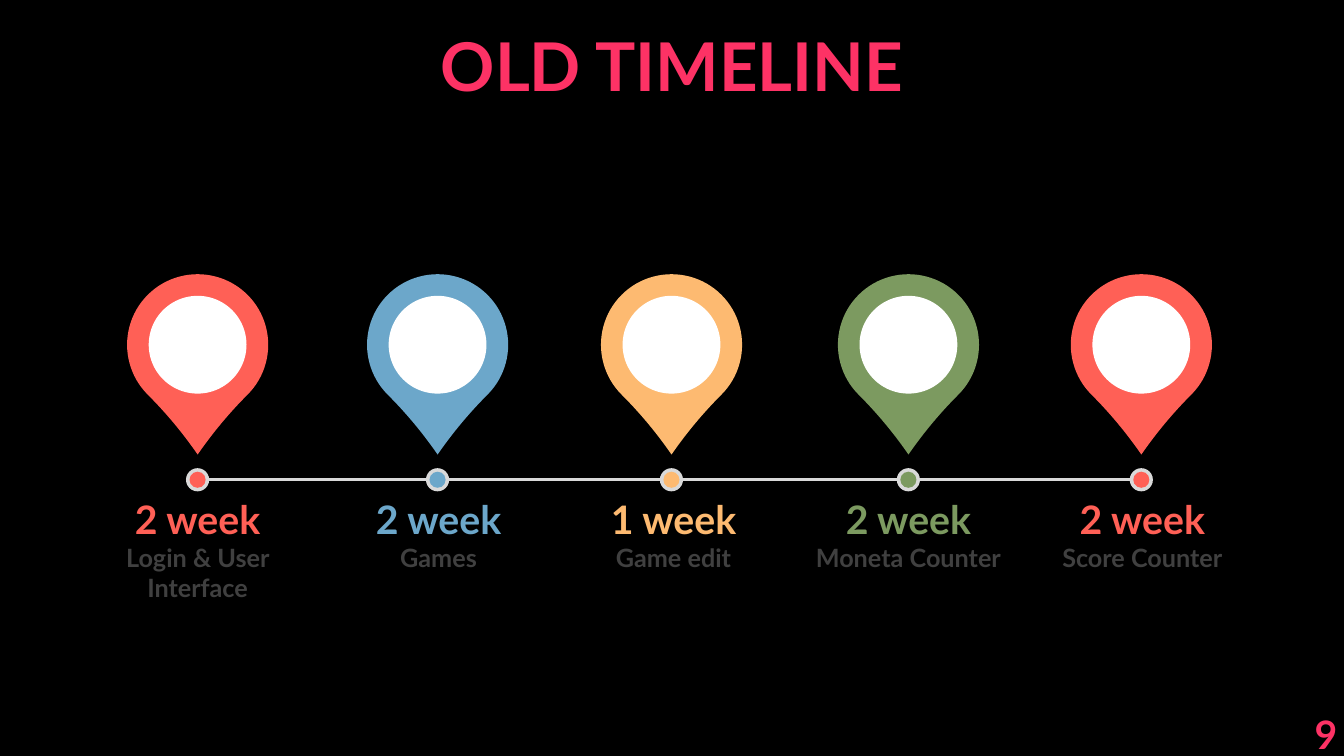
from itertools import pairwise
from lxml.etree import SubElement
from pptx import Presentation
from pptx.dml.color import RGBColor
from pptx.enum.shapes import MSO_CONNECTOR, MSO_SHAPE
from pptx.enum.text import MSO_ANCHOR, MSO_AUTO_SIZE, PP_ALIGN
from pptx.oxml.ns import qn
from pptx.util import Inches, Pt

BLACK = RGBColor(0x00, 0x00, 0x00)
WHITE = RGBColor(0xFF, 0xFF, 0xFF)
PINK = RGBColor(0xFD, 0x32, 0x65)
SILVER = RGBColor(0xD9, 0xD9, 0xD9)
GREY = RGBColor(0x40, 0x40, 0x40)
RED = RGBColor(0xFF, 0x60, 0x56)
BLUE = RGBColor(0x6C, 0xA7, 0xCA)
AMBER = RGBColor(0xFD, 0xBA, 0x71)
GREEN = RGBColor(0x7C, 0x9A, 0x60)

FRAME = {"word_wrap": True, "vertical_anchor": MSO_ANCHOR.TOP}
FONT = {"name": "Lato", "bold": True}

STEPS = [
    (1.96, 1.96, "2 week", "Login & User Interface", RED),
    (4.34, 4.35, "2 week", "Games", BLUE),
    (6.66, 6.68, "1 week", "Game edit", AMBER),
    (9.01, 9.01, "2 week", "Moneta Counter", GREEN),
    (11.32, 11.33, "2 week", "Score Counter", RED),
]
AXIS = 4.76
HEAD = 3.42


def apply(item, values):
    for key, value in values.items():
        setattr(item, key, value)


def write(shape, text, size, color, align, fit):
    frame = shape.text_frame
    frame.text = text
    apply(frame, {**FRAME, "auto_size": fit})
    line = frame.paragraphs[0]
    line.alignment = align
    font = line.runs[0].font
    apply(font, {**FONT, "size": Pt(size)})
    font.color.rgb = color


def add_text(slide, box, text, size, color, align=PP_ALIGN.CENTER):
    shape = slide.shapes.add_textbox(*map(Inches, box))
    write(shape, text, size, color, align, MSO_AUTO_SIZE.SHAPE_TO_FIT_TEXT)


def add_title(slide, text):
    title = slide.shapes.title
    box = {"left": 2.65, "top": 0.19, "width": 8.03, "height": 0.91}
    apply(title, {key: Inches(value) for key, value in box.items()})
    write(title, text, 48, PINK, PP_ALIGN.CENTER, MSO_AUTO_SIZE.NONE)


def add_round(slide, mid, row, size, color, kind=MSO_SHAPE.OVAL):
    box = (mid - size / 2, row - size / 2, size, size)
    shape = slide.shapes.add_shape(kind, *map(Inches, box))
    shape.shadow.inherit = False
    shape.fill.solid()
    shape.fill.fore_color.rgb = color
    shape.line.fill.background()
    return shape


def add_link(slide, start, end):
    ends = map(Inches, (start, AXIS, end, AXIS))
    link = slide.shapes.add_connector(MSO_CONNECTOR.STRAIGHT, *ends)
    link.line.color.rgb = SILVER
    link.line.width = Pt(2.25)
    SubElement(link._element.spPr, qn("a:effectLst"))


def add_dot(slide, mid, color):
    add_round(slide, mid, AXIS, 0.23, SILVER)
    add_round(slide, mid, AXIS, 0.16, color)


def add_pin(slide, mid, color):
    drop = add_round(slide, mid, HEAD, 1.4, color, MSO_SHAPE.TEAR)
    drop.adjustments[0] = 1.1
    drop.rotation = 135
    add_round(slide, mid, HEAD, 0.97, WHITE)


def add_step(slide, mid, center, time, task, color):
    left = center - 1.25
    add_dot(slide, mid, color)
    add_text(slide, (left, 5.33, 2.5, 0.4), task, 18, GREY)
    add_text(slide, (left, 4.86, 2.5, 0.57), time, 28, color)
    add_pin(slide, mid, color)


def main():
    deck = Presentation()
    apply(deck, {"slide_width": Inches(13.33), "slide_height": Inches(7.5)})
    slide = deck.slides.add_slide(deck.slide_layouts[5])
    slide.background.fill.solid()
    slide.background.fill.fore_color.rgb = BLACK
    add_title(slide, "OLD TIMELINE")
    for start, end in pairwise(step[0] for step in STEPS):
        add_link(slide, start + 0.11, end - 0.11)
    for step in STEPS:
        add_step(slide, *step)
    add_text(slide, (12.94, 7, 0.39, 0.57), "9", 28, PINK, PP_ALIGN.LEFT)
    deck.save("out.pptx")


main()
